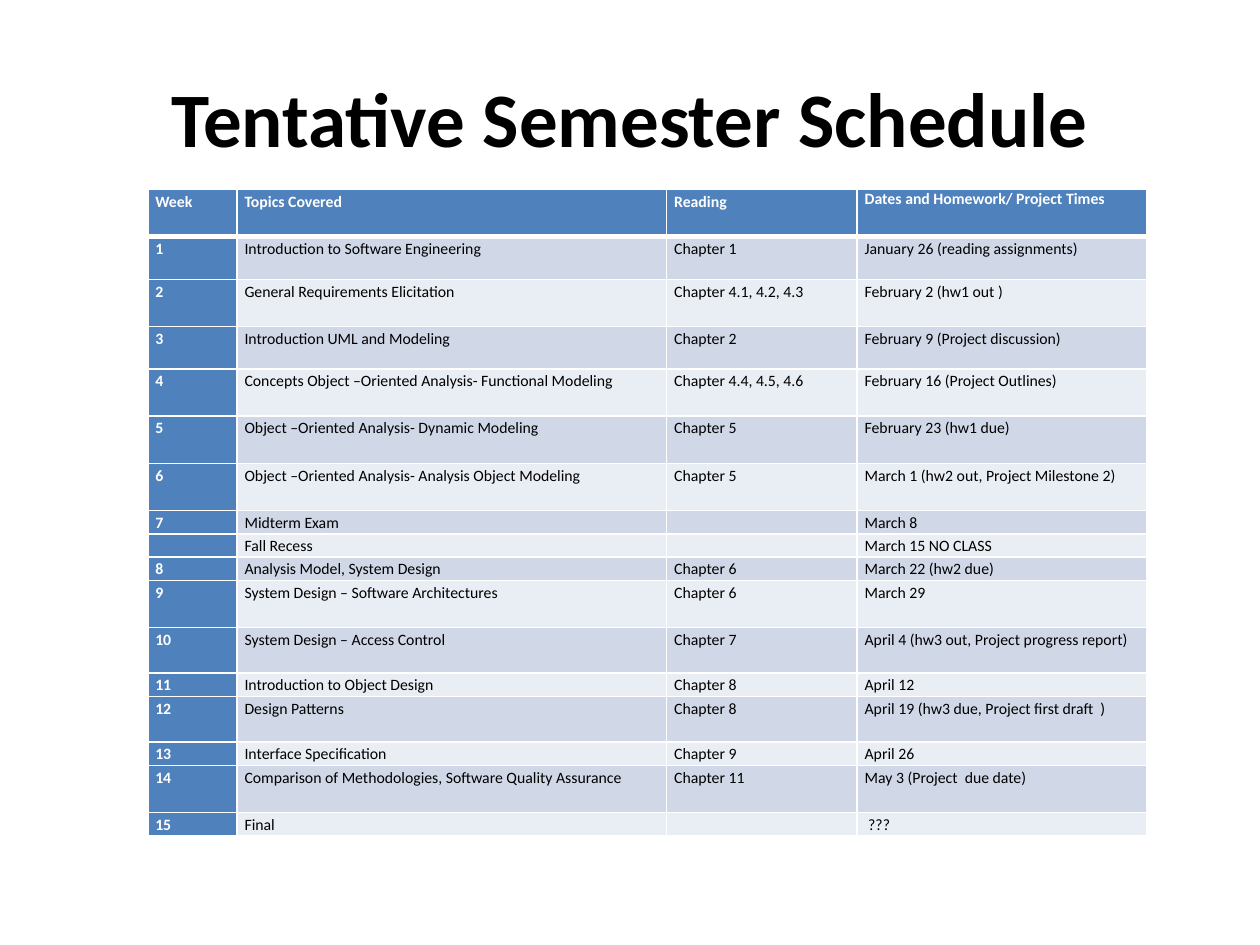
import dataclasses

import pptx
import pptx.dml.color
import pptx.enum.text
import pptx.oxml
import pptx.oxml.ns
import pptx.util

Cm = pptx.util.Cm
Pt = pptx.util.Pt
ALIGN = pptx.enum.text.PP_ALIGN
ANCHOR = pptx.enum.text.MSO_ANCHOR


@dataclasses.dataclass(frozen=True)
class Theme:
    """Colours, font and type sizes of the slide."""
    font: str = "Calibri"
    title_size: int = 44
    cell_size: int = 9
    ink: str = "000000"
    paper: str = "FFFFFF"
    head: str = "4F81BD"
    bands: tuple = ("D0D8E8", "E9EDF4")


def rgb(value):
    """Turn a hex string into a colour."""
    return pptx.dml.color.RGBColor.from_string(value)


class Deck:
    """Holds the theme and the current slide."""

    def __init__(self, prs, theme):
        self.theme = theme
        self.slide = prs.slides.add_slide(prs.slide_layouts[5])

    def style(self, p, size, color, bold, align):
        """Set font and alignment of a paragraph."""
        p.alignment = align
        p.font.name = self.theme.font
        p.font.size = Pt(size)
        p.font.bold = bold
        p.font.color.rgb = rgb(color)

    def title(self, text, left, top, width, height):
        """Fill and place the title placeholder."""
        sp = self.slide.shapes.title
        sp.left, sp.top, sp.width, sp.height = left, top, width, height
        tf = sp.text_frame
        tf.text = text
        tf.vertical_anchor = ANCHOR.MIDDLE
        self.style(tf.paragraphs[0], self.theme.title_size, self.theme.ink, True, ALIGN.CENTER)

    def borders(self, cell, bottom):
        """Draw the four cell borders, the lower one in its own width."""
        tc_pr = cell._tc.get_or_add_tcPr()
        for side, width in (("L", 1), ("R", 1), ("T", 1), ("B", bottom)):
            tc_pr.append(pptx.oxml.parse_xml(
                f'<a:ln{side} {pptx.oxml.ns.nsdecls("a")} w="{Pt(width)}"><a:solidFill>'
                f'<a:srgbClr val="{self.theme.paper}"/></a:solidFill></a:ln{side}>'))

    def cell(self, cell, text, fill, color, bold, align, spacing, bottom):
        """Write and format one table cell."""
        self.borders(cell, bottom)
        cell.fill.solid()
        cell.fill.fore_color.rgb = rgb(fill)
        cell.margin_left = cell.margin_right = Cm(0.15)
        cell.margin_top = cell.margin_bottom = 0
        cell.vertical_anchor = ANCHOR.TOP
        p = cell.text_frame.paragraphs[0]
        if text:
            p.add_run().text = text
        p.line_spacing = spacing
        self.style(p, self.theme.cell_size, color, bold, align)

    def schedule(self, header, rows, left, top, widths, heights):
        """Add the table with header row, header column and banded body."""
        theme = self.theme
        table = self.slide.shapes.add_table(
            len(heights), len(widths), left, top, sum(widths), sum(heights)).table
        table.first_row = table.horz_banding = False
        for column, width in zip(table.columns, widths):
            column.width = width
        last = len(widths) - 1
        for i, (row, height) in enumerate(zip([header, *rows], heights)):
            table.rows[i].height = height
            for j, text in enumerate(row):
                strong = i == 0 or j == 0
                self.cell(
                    table.cell(i, j), text,
                    fill=theme.head if strong else theme.bands[(i - 1) % 2],
                    color=theme.paper if strong else theme.ink,
                    bold=strong,
                    align=ALIGN.JUSTIFY if strong or j == last else ALIGN.LEFT,
                    spacing=1.0 if i == 0 and j == last else 1.15,
                    bottom=3 if i == 0 else 1)


HEADER = ("Week", "Topics Covered", "Reading", "Dates and Homework/ Project Times")
TALL, MEDIUM, LOW, SHORT = Cm(0.95), Cm(0.92), Cm(0.86), Cm(0.47)
# Each line: row height, week, topic, reading, date
WEEKS = (
    (LOW, "1", "Introduction to Software Engineering", "Chapter 1", "January 26 (reading assignments)"),
    (TALL, "2", "General Requirements Elicitation", "Chapter 4.1, 4.2, 4.3", "February 2 (hw1 out )"),
    (LOW, "3", "Introduction UML and Modeling", "Chapter 2", "February 9 (Project discussion)"),
    (TALL, "4", "Concepts Object –Oriented Analysis- Functional Modeling", "Chapter 4.4, 4.5, 4.6",
     "February 16 (Project Outlines)"),
    (TALL, "5", "Object –Oriented Analysis- Dynamic Modeling", "Chapter 5", "February 23 (hw1 due)"),
    (TALL, "6", "Object –Oriented Analysis- Analysis Object Modeling", "Chapter 5",
     "March 1 (hw2 out, Project Milestone 2)"),
    (SHORT, "7", "Midterm Exam", "", "March 8"),
    (SHORT, "", "Fall Recess", "", "March 15 NO CLASS"),
    (SHORT, "8", "Analysis Model, System Design", "Chapter 6", "March 22 (hw2 due)"),
    (TALL, "9", "System Design – Software Architectures", "Chapter 6", "March 29"),
    (MEDIUM, "10", "System Design – Access Control", "Chapter 7", "April 4 (hw3 out, Project progress report)"),
    (SHORT, "11", "Introduction to Object Design", "Chapter 8", "April 12"),
    (MEDIUM, "12", "Design Patterns", "Chapter 8", "April 19 (hw3 due, Project first draft  )"),
    (SHORT, "13", "Interface Specification", "Chapter 9", "April 26"),
    (TALL, "14", "Comparison of Methodologies, Software Quality Assurance", "Chapter 11",
     "May 3 (Project  due date)"),
    (SHORT, "15", "Final", "", " ???"),
)


def main():
    """Build and save the slide."""
    prs = pptx.Presentation()
    prs.slide_width, prs.slide_height = Cm(25.4), Cm(19.05)
    deck = Deck(prs, Theme())
    deck.title("Tentative Semester Schedule", Cm(1.27), Cm(0.76), Cm(22.86), Cm(3.18))
    deck.schedule(
        HEADER, [week[1:] for week in WEEKS], Cm(2.98), Cm(3.82),
        widths=[Cm(1.8), Cm(8.66), Cm(3.84), Cm(5.84)],
        heights=[TALL] + [week[0] for week in WEEKS])
    prs.save("out.pptx")


main()
